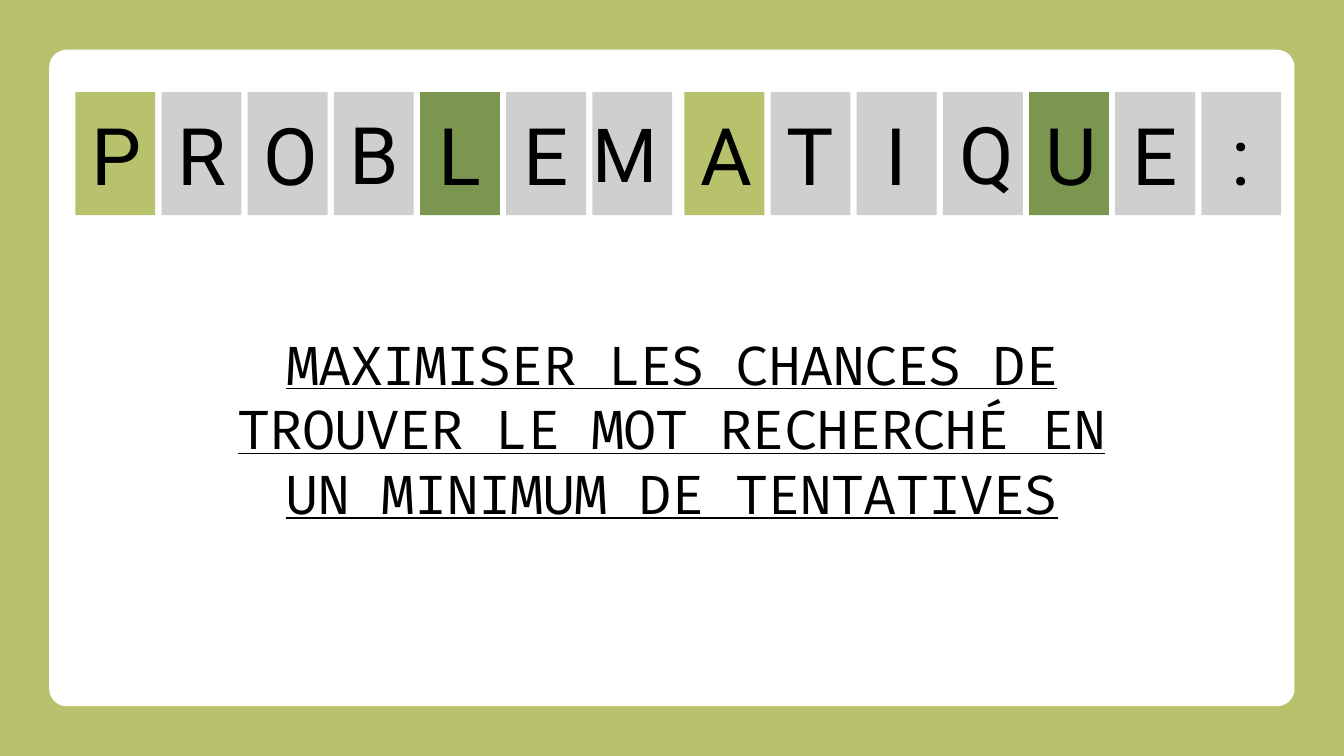
from dataclasses import dataclass
from pptx import Presentation
from pptx import util as u
from pptx.dml.color import RGBColor
from pptx.enum import shapes, text


@dataclass(frozen=True)
class Theme:
    olive: RGBColor = RGBColor(0xB8, 0xC2, 0x6C)
    green: RGBColor = RGBColor(0x7A, 0x96, 0x4F)
    grey: RGBColor = RGBColor(0xCF, 0xCF, 0xCF)
    white: RGBColor = RGBColor(0xFF, 0xFF, 0xFF)
    ink: RGBColor = RGBColor(0, 0, 0)
    letter_font: str = "Roboto"
    question_font: str = "Fira Code"
    letter_size: float = 85
    wide_letter_size: float = 80
    question_size: float = 57.8
    line_ratio: float = 1.2


THEME = Theme()
FRAME_FORMAT = {
    "margin_left": 0, "margin_right": 0, "margin_top": 0, "margin_bottom": 0,
    "word_wrap": True, "auto_size": text.MSO_AUTO_SIZE.SHAPE_TO_FIT_TEXT,
}


def place(box):
    """Turn left, top, width, height in centimetres into lengths."""
    return [u.Cm(value) for value in box]


def add_block(slide, kind, box, color):
    block = slide.shapes.add_shape(kind, *place(box))
    block.shadow.inherit = False
    block.fill.solid()
    block.fill.fore_color.rgb = color
    block.line.fill.background()
    return block


def add_words(slide, box, words, size, font_name, underline=None):
    frame = slide.shapes.add_textbox(*place(box)).text_frame
    for name, value in FRAME_FORMAT.items():
        setattr(frame, name, value)
    paragraph = frame.paragraphs[0]
    paragraph.alignment = text.PP_ALIGN.CENTER
    paragraph.line_spacing = u.Pt(round(size * THEME.line_ratio, 1))
    run = paragraph.add_run()
    run.text = words
    font_format = {"size": u.Pt(size), "name": font_name, "underline": underline}
    for name, value in font_format.items():
        setattr(run.font, name, value)
    run.font.color.rgb = THEME.ink
    return run


def add_panel(slide, box):
    """White card with rounded corners."""
    panel = add_block(slide, shapes.MSO_SHAPE.ROUNDED_RECTANGLE, box, THEME.white)
    corner_radius = 0.66
    panel.adjustments[0] = corner_radius / box[3]


def add_letter_tiles(slide, box, letters, colors):
    """Row of letter tiles spread evenly over the box."""
    left, top, width, height = box
    tile_width = 3.02
    pitch = (width - tile_width) / (len(letters) - 1)
    for index, letter in enumerate(letters):
        tile_left = left + index * pitch
        color = colors.get(letter, THEME.grey)
        add_block(slide, shapes.MSO_SHAPE.RECTANGLE,
                  (tile_left, top, tile_width, height), color)
        # The wide M is smaller and starts at the edge of its tile
        wide = letter == "M"
        size = THEME.wide_letter_size if wide else THEME.letter_size
        inset = 0 if wide else 0.61
        drop = {"M": 0.58, "B": 0.48, "Q": 0.48}.get(letter, 0.53)
        add_words(slide, (tile_left + inset, top + drop, 1.8, 3.58),
                  letter, size, THEME.letter_font)


def add_question(slide, box, question):
    run = add_words(slide, box, question, THEME.question_size,
                    THEME.question_font, underline=True)
    # Letter spacing in hundredths of a point
    run.font._element.set("spc", "-115")


def main():
    deck = Presentation()
    deck.slide_width, deck.slide_height = u.Cm(50.8), u.Cm(28.58)
    slide = deck.slides.add_slide(deck.slide_layouts[6])
    slide.background.fill.solid()
    slide.background.fill.fore_color.rgb = THEME.olive

    add_panel(slide, (1.86, 1.88, 47.07, 24.82))

    # Title, in two rows of seven tiles
    add_letter_tiles(slide, (2.85, 3.48, 22.56, 4.65), "PROBLEM",
                     {"P": THEME.olive, "L": THEME.green})
    add_letter_tiles(slide, (25.87, 3.48, 22.56, 4.65), "ATIQUE:",
                     {"A": THEME.olive, "U": THEME.green})

    add_question(slide, (7.8, 12.52, 35.18, 7.34),
                 "MAXIMISER LES CHANCES DE TROUVER LE MOT RECHERCHÉ "
                 "EN UN MINIMUM DE TENTATIVES")
    deck.save("out.pptx")


if __name__ == "__main__":
    main()
